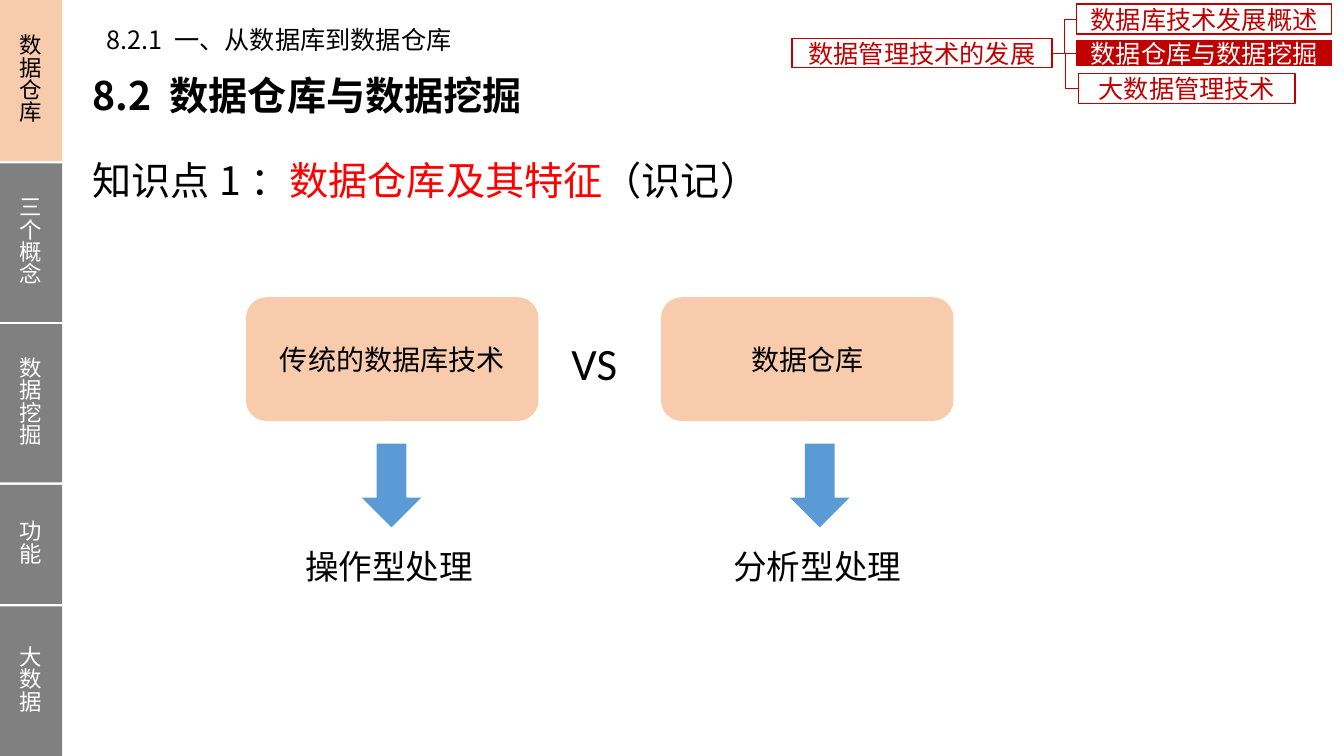
from dataclasses import dataclass, field
from typing import Any

from lxml import etree
from pptx import Presentation
from pptx.dml.color import RGBColor
from pptx.enum.shapes import MSO_CONNECTOR, MSO_SHAPE
from pptx.enum.text import MSO_ANCHOR, MSO_AUTO_SIZE, PP_ALIGN
from pptx.oxml.ns import qn
from pptx.util import Cm, Pt

RECT, ROUNDED, DOWN_ARROW = MSO_SHAPE.RECTANGLE, MSO_SHAPE.ROUNDED_RECTANGLE, MSO_SHAPE.DOWN_ARROW
ELBOW = MSO_CONNECTOR.ELBOW
MIDDLE, CENTER, LEFT = MSO_ANCHOR.MIDDLE, PP_ALIGN.CENTER, PP_ALIGN.LEFT
GROW = MSO_AUTO_SIZE.SHAPE_TO_FIT_TEXT
LEFT_SIDE, RIGHT_SIDE = 1, 3

COLORS = {
    "black": "000000", "white": "FFFFFF", "peach": "F8CBAD", "gray": "808080",
    "blue": "5B9BD5", "crimson": "C00000", "red": "FF0000",
}
SC, JP, CALIBRI = "Noto Sans CJK SC", "Noto Sans CJK JP", "Calibri"
GROWING = {"word_wrap": True, "auto_size": GROW}
WIDE_INSETS = {"margin_left": Cm(0.3), "margin_right": Cm(0.3),
               "margin_top": Cm(0.15), "margin_bottom": Cm(0.15)}


@dataclass
class Place:
    left: float
    top: float
    width: float
    height: float

    def lengths(self) -> tuple:
        return Cm(self.left), Cm(self.top), Cm(self.width), Cm(self.height)


@dataclass
class Words:
    runs: list[tuple[str, str]]
    size: float
    font: str = SC
    bold: bool = False
    paragraph: dict[str, Any] = field(default_factory=lambda: {"alignment": LEFT})
    frame: dict[str, Any] = field(default_factory=lambda: GROWING)


@dataclass
class Block:
    place: Place
    kind: Any
    fill: str
    words: Words | None = None
    outline: str | None = None


def color(name: str) -> RGBColor:
    return RGBColor.from_string(COLORS[name])


def apply_format(target: Any, values: dict[str, Any]) -> None:
    for name, value in values.items():
        setattr(target, name, value)


def write(text_frame: Any, words: Words) -> None:
    apply_format(text_frame, words.frame)
    paragraph = text_frame.paragraphs[0]
    apply_format(paragraph, words.paragraph)
    for text, tint in words.runs:
        run = paragraph.add_run()
        run.text = text
        apply_format(run.font, {"size": Pt(words.size), "bold": words.bold, "name": words.font})
        run.font.color.rgb = color(tint)
        # East Asian typeface
        etree.SubElement(run.font._element, qn("a:ea"), typeface=words.font)


def draw_text(slide: Any, place: Place, words: Words) -> None:
    write(slide.shapes.add_textbox(*place.lengths()).text_frame, words)


def draw_block(slide: Any, block: Block) -> Any:
    shape = slide.shapes.add_shape(block.kind, *block.place.lengths())
    shape.shadow.inherit = False
    shape.fill.solid()
    shape.fill.fore_color.rgb = color(block.fill)
    if block.outline:
        shape.line.color.rgb = color(block.outline)
        shape.line.width = Pt(1)
    else:
        shape.line.fill.background()
    if block.words:
        write(shape.text_frame, block.words)
    return shape


def draw_branch(slide: Any, parent: Any, child: Any) -> None:
    branch = slide.shapes.add_connector(ELBOW, 0, 0, 0, 0)
    branch.begin_connect(parent, RIGHT_SIDE)
    branch.end_connect(child, LEFT_SIDE)
    branch.line.color.rgb = color("crimson")
    branch.line.width = Pt(0.5)
    etree.SubElement(branch._element.spPr, qn("a:effectLst"))


def centered(text: str, tint: str, size: float, font: str = SC, **paragraph: Any) -> Words:
    return Words([(text, tint)], size, font, paragraph={"alignment": CENTER, **paragraph},
                 frame={"word_wrap": True, "vertical_anchor": MIDDLE})


def topic(place: Place, text: str, current: bool = False) -> Block:
    fill, tint = ("crimson", "white") if current else ("white", "crimson")
    return Block(place, RECT, fill, centered(text, tint, 18), "crimson")


def main() -> None:
    prs = Presentation()
    prs.slide_width, prs.slide_height = Cm(33.87), Cm(19.05)
    slide = prs.slides.add_slide(prs.slide_layouts[6])

    # Headings
    draw_text(slide, Place(2.03, 1.65, 24.51, 1.5),
              Words([("8.2 数据仓库与数据挖掘", "black")], 28, bold=True,
                    frame={**GROWING, **WIDE_INSETS}))
    draw_text(slide, Place(2.03, 2.92, 30.89, 2.64),
              Words([("知识点1：", "black"), ("数据仓库及其特征", "red"), ("（识记）", "black")], 28,
                    paragraph={"line_spacing": 1.5},
                    frame={"word_wrap": True, "vertical_anchor": MIDDLE, **WIDE_INSETS}))
    draw_text(slide, Place(2.44, 0.48, 9.19, 1.02),
              Words([("8.2.1 一、从数据库到数据仓库", "black")], 18,
                    frame={"word_wrap": False, "auto_size": GROW}))

    # Comparison: technology, arrow, kind of processing
    comparison = [(6.2, 9.12, "传统的数据库技术", "操作型处理"),
                  (16.66, 19.91, "数据仓库", "分析型处理")]
    for card_left, arrow_left, technology, processing in comparison:
        draw_block(slide, Block(Place(card_left, 7.49, 7.37, 3.12), ROUNDED, "peach",
                                centered(technology, "black", 20, JP)))
        draw_block(slide, Block(Place(arrow_left, 11.18, 1.5, 2.11), DOWN_ARROW, "blue"))
        draw_text(slide, Place(arrow_left - 1.68, 13.64, 6.86, 1.27),
                  Words([(processing, "black")], 24, JP))
    draw_text(slide, Place(14.15, 8.33, 2.51, 1.63), Words([("VS", "black")], 32, CALIBRI))

    # Sidebar sections, stacked with an equal gap
    sections = [("数据仓库", 4.06), ("三个概念", 3.99), ("数据挖掘", 3.99),
                ("功能", 3.0), ("大数据", 3.77)]
    section_top, gap = 0.0, 0.06
    for index, (section, height) in enumerate(sections):
        fill, tint = ("gray", "white") if index else ("peach", "black")
        draw_block(slide, Block(Place(0, section_top, 1.57, height), RECT, fill,
                                centered(section, tint, 16, line_spacing=Pt(16))))
        section_top += height + gap

    # Topic tree
    chapter = draw_block(slide, topic(Place(19.96, 0.97, 6.55, 0.74), "数据管理技术的发展"))
    branches = [topic(Place(27.13, 0.1, 6.43, 0.76), "数据库技术发展概述"),
                topic(Place(27.13, 1.02, 6.43, 0.64), "数据仓库与数据挖掘", current=True),
                topic(Place(27.18, 1.85, 5.46, 0.76), "大数据管理技术")]
    for branch_topic in branches:
        draw_branch(slide, chapter, draw_block(slide, branch_topic))

    prs.save("out.pptx")


if __name__ == "__main__":
    main()
